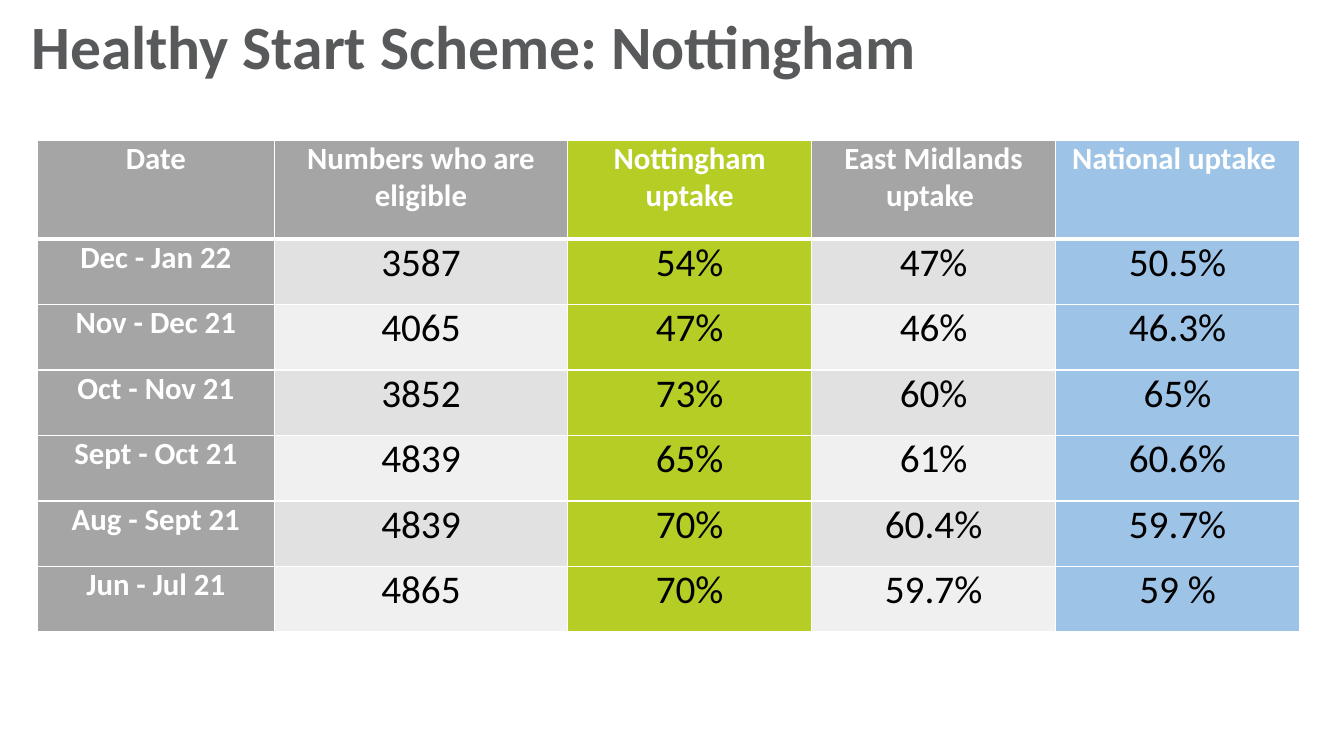
from pptx import Presentation
from pptx.dml.color import RGBColor
from pptx.enum import text
from pptx.oxml import parse_xml
from pptx.oxml.ns import nsdecls
from pptx.util import Inches, Pt

WHITE = RGBColor(0xFF, 0xFF, 0xFF)
BLACK = RGBColor(0, 0, 0)
TITLE_GREY = RGBColor(0x58, 0x59, 0x5B)
HEAD_GREY = RGBColor(0xA5, 0xA5, 0xA5)
BANDS = [RGBColor(0xE1, 0xE1, 0xE1), RGBColor(0xF0, 0xF0, 0xF0)]
GREEN = RGBColor(0xB5, 0xCD, 0x25)
BLUE = RGBColor(0x9D, 0xC3, 0xE6)
COLUMN_FILLS = {0: HEAD_GREY, 2: GREEN, 4: BLUE}
FONT = "Calibri"

COLUMN_WIDTHS = [2.35, 2.91, 2.42, 2.42, 2.42]
HEADER_HEIGHT, ROW_HEIGHT = 0.98, 0.65
UPTAKE = [
    ["Date", "Numbers who are eligible", "Nottingham uptake",
     "East Midlands uptake ", "National uptake "],
    ["Dec - Jan 22", "3587", "54%", "47%", "50.5%"],
    ["Nov - Dec 21", "4065", "47%", "46%", "46.3%"],
    ["Oct - Nov 21", "3852", "73%", "60%", "65%"],
    ["Sept - Oct 21", "4839", "65%", "61%", "60.6%"],
    ["Aug - Sept 21", "4839", "70%", "60.4%", "59.7%"],
    ["Jun - Jul 21", "4865", "70%", "59.7%", "59 %"],
]


def format_run(r, size, color, bold):
    r.font.name = FONT
    r.font.size = Pt(size)
    r.font.color.rgb = color
    r.font.bold = bold


def add_title(s, left, top, width, height):
    title = s.shapes.title
    title.left, title.top = Inches(left), Inches(top)
    title.width, title.height = Inches(width), Inches(height)
    tf = title.text_frame
    tf.text = "Healthy Start Scheme: Nottingham"
    tf.vertical_anchor = text.MSO_ANCHOR.MIDDLE
    p = tf.paragraphs[0]
    p.alignment = text.PP_ALIGN.LEFT
    p.line_spacing = 0.9
    format_run(p.runs[0], 44, TITLE_GREY, True)


def set_borders(cell, row):
    """White rules, heavier between the header and the first data row."""
    widths = {"L": 1, "R": 1, "T": 3 if row == 1 else 1, "B": 3 if row == 0 else 1}
    tc_pr = cell._tc.get_or_add_tcPr()
    for i, (side, width) in enumerate(widths.items()):
        tc_pr.insert(i, parse_xml(
            f'<a:ln{side} {nsdecls("a")} w="{Pt(width)}"><a:solidFill>'
            f'<a:srgbClr val="{WHITE}"/></a:solidFill></a:ln{side}>'))


def format_cell(cell, row, col):
    heading = row == 0 or col == 0
    default = HEAD_GREY if heading else BANDS[(row - 1) % 2]
    cell.fill.solid()
    cell.fill.fore_color.rgb = COLUMN_FILLS.get(col, default)
    cell.margin_left = cell.margin_right = Inches(0.07)
    cell.margin_top = cell.margin_bottom = 0
    set_borders(cell, row)
    p = cell.text_frame.paragraphs[0]
    p.alignment = text.PP_ALIGN.CENTER
    format_run(p.runs[0], 22 if heading else 28, WHITE if heading else BLACK, heading)


def add_uptake_table(s, left, top):
    height = HEADER_HEIGHT + ROW_HEIGHT * (len(UPTAKE) - 1)
    table = s.shapes.add_table(
        len(UPTAKE), len(COLUMN_WIDTHS), Inches(left), Inches(top),
        Inches(sum(COLUMN_WIDTHS)), Inches(height)).table
    for column, width in zip(table.columns, COLUMN_WIDTHS):
        column.width = Inches(width)
    for row, values in enumerate(UPTAKE):
        table.rows[row].height = Inches(ROW_HEIGHT if row else HEADER_HEIGHT)
        for col, value in enumerate(values):
            cell = table.cell(row, col)
            cell.text = value
            format_cell(cell, row, col)


def main():
    prs = Presentation()
    prs.slide_width, prs.slide_height = Inches(13.33), Inches(7.5)
    s = prs.slides.add_slide(prs.slide_layouts[5])
    add_title(s, 0.21, 0, 11.01, 0.98)
    add_uptake_table(s, 0.37, 1.39)
    prs.save("out.pptx")


if __name__ == "__main__":
    main()
